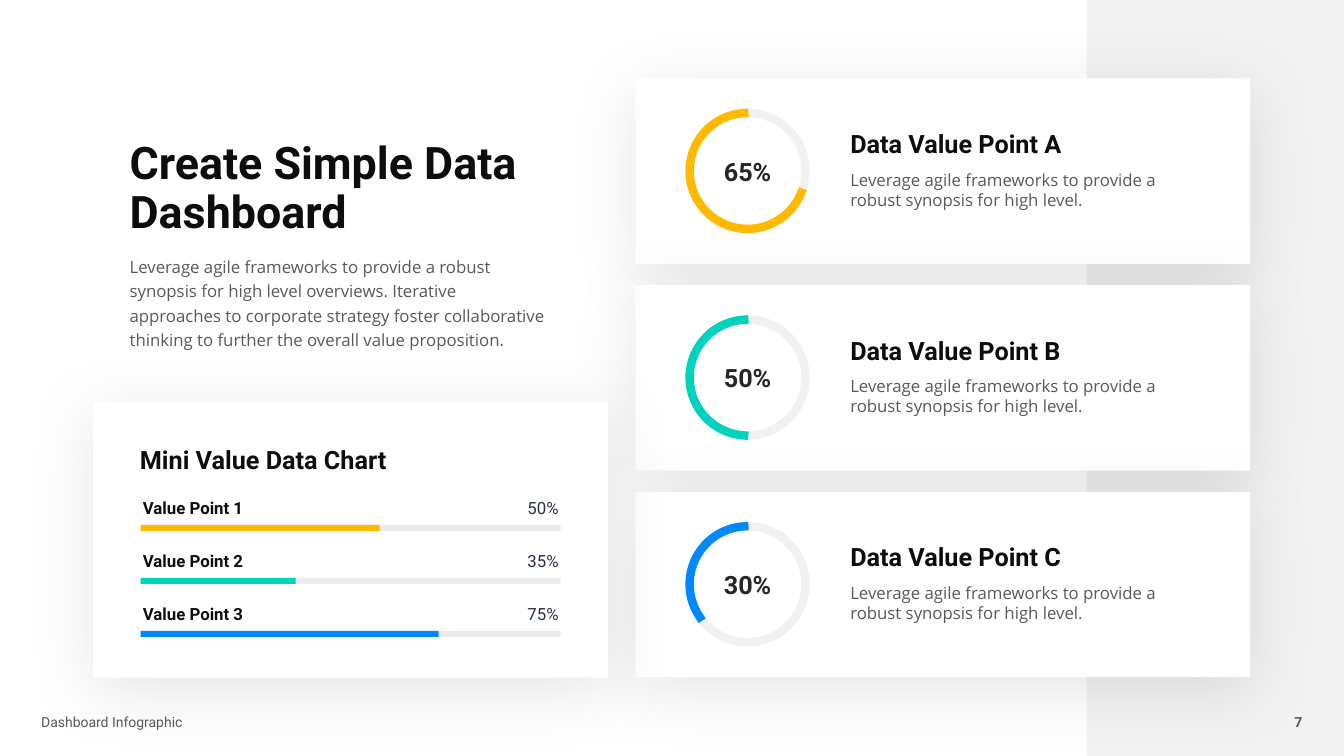
"""Build a dashboard slide with three ring cards and a small bar chart."""
import pptx
import pptx.dml.color
import pptx.enum.shapes
import pptx.enum.text
import pptx.oxml
import pptx.oxml.ns
import pptx.util

Pt = pptx.util.Pt
RGB = pptx.dml.color.RGBColor
KIND = pptx.enum.shapes.MSO_SHAPE
ALIGN = pptx.enum.text.PP_ALIGN
ANCHOR = pptx.enum.text.MSO_ANCHOR
qn = pptx.oxml.ns.qn
NS = pptx.oxml.ns.nsdecls("a")

WHITE = RGB(0xFF, 0xFF, 0xFF)
PALE = RGB(0xF2, 0xF2, 0xF2)
BLACK = RGB(0, 0, 0)
INK = RGB(0x0D, 0x0D, 0x0D)
DARK = RGB(0x26, 0x26, 0x26)
GREY = RGB(0x59, 0x59, 0x59)
RING = RGB(0xA6, 0xA6, 0xA6)
NAVY = RGB(0x28, 0x2F, 0x4E)
GOLD = RGB(0xFF, 0xBA, 0x00)
TEAL = RGB(0x00, 0xD3, 0xBD)
BLUE = RGB(0x00, 0x88, 0xFF)

TITLE = "Create Simple Data Dashboard"
INTRO = ("Leverage agile frameworks to provide a robust synopsis for high level "
         "overviews. Iterative approaches to corporate strategy foster collaborative "
         "thinking to further the overall value proposition.")
NOTE = "Leverage agile frameworks to provide a robust synopsis for high level."
CARDS = [
    ("Data Value Point A", "65%", GOLD, 13.22),
    ("Data Value Point B", "50%", TEAL, 56.04),
    ("Data Value Point C", "30%", BLUE, 87.22),
]
BARS = [
    ("Value Point 1", "50%", GOLD, 170.8),
    ("Value Point 2", "35%", TEAL, 110.8),
    ("Value Point 3", "75%", BLUE, 212.9),
]
ARC_END = 160.02
CARD_TOP, CARD_STEP = 56.1, 147.6
BAR_TOP, BAR_STEP = 375, 37.85

HEAD = {"size": Pt(18), "bold": True, "name": "Roboto"}
BODY = {"size": Pt(12), "bold": False, "name": "Open Sans"}
LABEL = {"size": Pt(12), "bold": True, "name": "Roboto"}
VALUE = {"size": Pt(12), "bold": False, "name": "Roboto"}
FOOT = {"size": Pt(10), "bold": False, "name": "Roboto"}


def write(frame, words, font, color, **para):
    frame.word_wrap = True
    line = frame.paragraphs[0]
    for key, val in para.items():
        setattr(line, key, val)
    run = line.add_run()
    run.text = words
    for key, val in font.items():
        setattr(run.font, key, val)
    run.font.color.rgb = color


def label(slide, box, words, font, color, anchor=ANCHOR.TOP, **para):
    frame = slide.shapes.add_textbox(*map(Pt, box)).text_frame
    frame.vertical_anchor = anchor
    write(frame, words, font, color, **para)


def fade(fill, share):
    tint = fill.find(qn("a:solidFill"))[0]
    tint.append(pptx.oxml.parse_xml(f'<a:alpha {NS} val="{share * 1000}"/>'))


def block(slide, box, color, share=100):
    shape = slide.shapes.add_shape(KIND.RECTANGLE, *map(Pt, box))
    shape.shadow.inherit = False
    shape.fill.solid()
    shape.fill.fore_color.rgb = color
    shape.line.fill.background()
    if share < 100:
        fade(shape.element.spPr, share)
    return shape


def panel(slide, box):
    glow = block(slide, box, WHITE).element.spPr.find(qn("a:effectLst"))
    glow.append(pptx.oxml.parse_xml(
        f'<a:outerShdw {NS} blurRad="{Pt(50)}" dist="{Pt(9)}" dir="5400000" '
        'algn="t" rotWithShape="0"><a:srgbClr val="000000">'
        '<a:alpha val="10000"/></a:srgbClr></a:outerShdw>'))


def hoop(slide, kind, top, color):
    shape = slide.shapes.add_shape(kind, *map(Pt, (492.6, top, 82.8, 82.8)))
    shape.shadow.inherit = False
    shape.fill.background()
    shape.line.width = Pt(6)
    shape.line.color.rgb = color
    return shape


def gauge(slide, top, name, share, color, start):
    ring = hoop(slide, KIND.OVAL, top + 24.6, RING)
    fade(ring.element.spPr.find(qn("a:ln")), 15)
    ring.text_frame.vertical_anchor = ANCHOR.MIDDLE
    write(ring.text_frame, share, HEAD, DARK, alignment=ALIGN.CENTER)
    arc = hoop(slide, KIND.ARC, top + 24.6, color)
    arc.adjustments[0] = start
    arc.adjustments[1] = ARC_END
    arc.element.spPr.find(qn("a:ln")).set("cap", "sq")
    label(slide, (600.3, top + 34.4, 268, 26.6), name, HEAD, INK, line_spacing=0.9)
    label(slide, (600.3, top + 61.3, 266.4, 36), NOTE, BODY, GREY)


def meter(slide, top, name, share, color, width):
    block(slide, (100.4, top, 300, 4.3), BLACK, 8)
    block(slide, (100.4, top, width, 4.3), color)
    label(slide, (95, top - 23.4, 115.2, 21.8), name, LABEL, INK, ANCHOR.BOTTOM)
    label(slide, (329.8, top - 23.4, 76.3, 21.8), share, VALUE, NAVY, ANCHOR.BOTTOM,
          alignment=ALIGN.RIGHT)


def main():
    deck = pptx.Presentation()
    deck.slide_width, deck.slide_height = Pt(960), Pt(540)
    slide = deck.slides.add_slide(deck.slide_layouts[6])
    block(slide, (776.2, 0, 183.8, 540), PALE)
    label(slide, (22.3, 506.2, 200.9, 19.4), "Dashboard Infographic", FOOT, GREY)
    label(slide, (882, 506.2, 55.4, 19.4), "7", FOOT | {"bold": True}, GREY,
          alignment=ALIGN.RIGHT)
    label(slide, (85.5, 97.2, 313.2, 77), TITLE, HEAD | {"size": Pt(32)}, INK,
          line_spacing=0.9)
    label(slide, (85.5, 177.1, 313.2, 75.6), INTRO, BODY, GREY, line_spacing=1.2)
    tops = [CARD_TOP + CARD_STEP * i for i in range(len(CARDS))]
    for top in tops:
        panel(slide, (453.8, top, 439.2, 132.5))
    panel(slide, (66.6, 287.1, 367.9, 196.9))
    for i, bar in enumerate(BARS):
        meter(slide, BAR_TOP + BAR_STEP * i, *bar)
    label(slide, (92.9, 316.1, 268, 26.6), "Mini Value Data Chart", HEAD, INK,
          line_spacing=0.9)
    for top, card in zip(tops, CARDS):
        gauge(slide, top, *card)
    deck.save("out.pptx")


if __name__ == "__main__":
    main()
